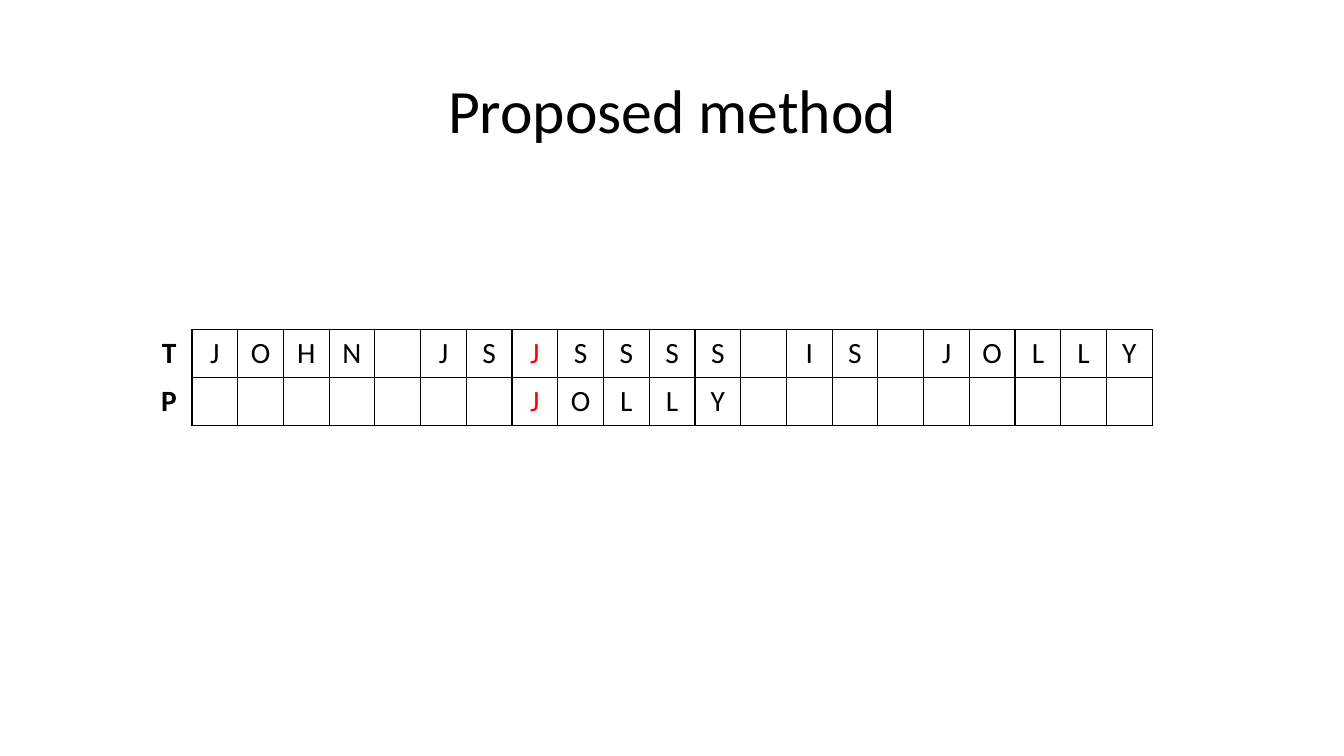
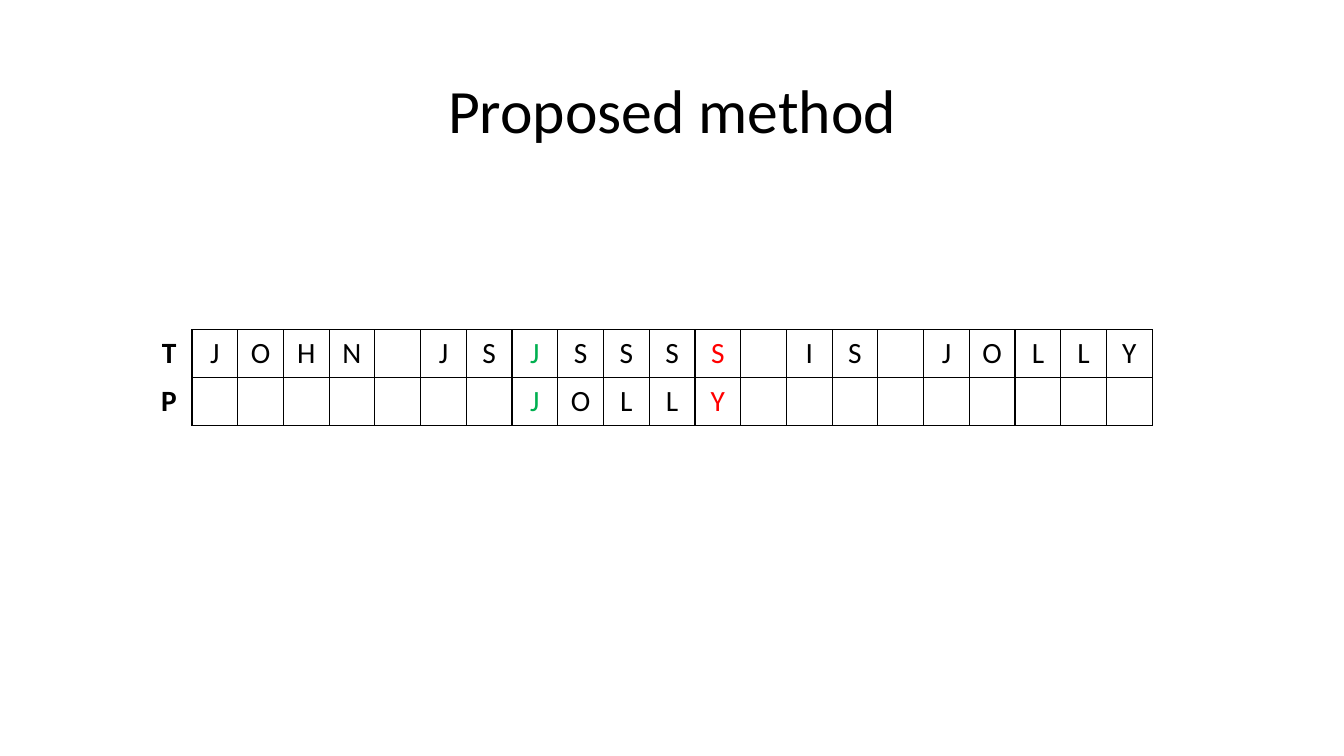
"""Build two slides that step a pattern search through a text."""
from dataclasses import dataclass

from lxml.etree import SubElement
from pptx import Presentation
from pptx.dml.color import RGBColor
from pptx.enum.text import MSO_ANCHOR, PP_ALIGN
from pptx.oxml.ns import qn
from pptx.slide import Slide
from pptx.table import _Cell
from pptx.util import Inches, Pt

BLACK = RGBColor(0x00, 0x00, 0x00)
RED = RGBColor(0xFF, 0x00, 0x00)
GREEN = RGBColor(0x00, 0xB0, 0x50)
FONT = "Calibri"
TITLE = "Proposed method"
TEXT = "JOHN JSJSSSS IS JOLLY"
PATTERN = "JOLLY"
SHIFT = 7
WIDTH = 9.98
HEIGHT = 0.95


@dataclass(frozen=True)
class Step:
    """Colours of the compared letters, keyed by position in the text."""
    marks: dict[int, RGBColor]


STEPS = [
    Step({SHIFT: RED}),
    Step({SHIFT: GREEN, SHIFT + len(PATTERN) - 1: RED}),
]


def style(para, size: float, color: RGBColor, bold: bool = False) -> None:
    """Centre a paragraph and format its runs."""
    para.alignment = PP_ALIGN.CENTER
    for run in para.runs:
        run.font.name = FONT
        run.font.size = Pt(size)
        run.font.bold = bold
        run.font.color.rgb = color


def add_title(slide: Slide) -> None:
    """Add the centred slide title."""
    box = slide.shapes.add_textbox(Inches(0.92), Inches(0.4), Inches(11.5), Inches(1.45))
    frame = box.text_frame
    frame.word_wrap = True
    frame.vertical_anchor = MSO_ANCHOR.MIDDLE
    frame.text = TITLE
    para = frame.paragraphs[0]
    para.line_spacing = 0.9
    style(para, 44, BLACK)


def set_edges(cell: _Cell, drawn: str) -> None:
    """Draw the named cell edges and clear the others."""
    props = cell._tc.get_or_add_tcPr()
    for side in "LRTB":
        line = SubElement(props, qn(f"a:ln{side}"), w=str(Pt(1)))
        if side in drawn:
            fill = SubElement(line, qn("a:solidFill"))
            SubElement(fill, qn("a:srgbClr"), val=str(BLACK))
        else:
            SubElement(line, qn("a:noFill"))


def fill_cell(cell: _Cell, char: str, color: RGBColor, label: bool) -> None:
    """Write one letter and set the cell's margins and edges."""
    cell.margin_left = cell.margin_right = Inches(0.12)
    cell.margin_top = cell.margin_bottom = Inches(0.06)
    set_edges(cell, "R" if label else "LRTB")
    cell.fill.background()
    cell.text_frame.text = char.strip()
    style(cell.text_frame.paragraphs[0], 21, color, label)


def add_grid(slide: Slide, step: Step) -> None:
    """Add the text row above the shifted pattern row."""
    size = len(TEXT)
    rows = ["T" + TEXT, "P" + (PATTERN.rjust(SHIFT + len(PATTERN))).ljust(size)]
    frame = slide.shapes.add_table(
        len(rows), size + 1, Inches(1.45), Inches(3.27), Inches(WIDTH), Inches(HEIGHT))
    table = frame.table
    table.first_row = table.horz_banding = False
    for col in table.columns:
        col.width = Inches(WIDTH / (size + 1))
    for r, chars in enumerate(rows):
        table.rows[r].height = Inches(HEIGHT / len(rows))
        for c, char in enumerate(chars):
            color = step.marks.get(c - 1, BLACK)
            fill_cell(table.cell(r, c), char, color, c == 0)


def main() -> None:
    """Build and save the deck."""
    deck = Presentation()
    deck.slide_width = Inches(13.33)
    deck.slide_height = Inches(7.5)
    for step in STEPS:
        slide = deck.slides.add_slide(deck.slide_layouts[6])
        add_title(slide)
        add_grid(slide, step)
    deck.save("out.pptx")


if __name__ == "__main__":
    main()
